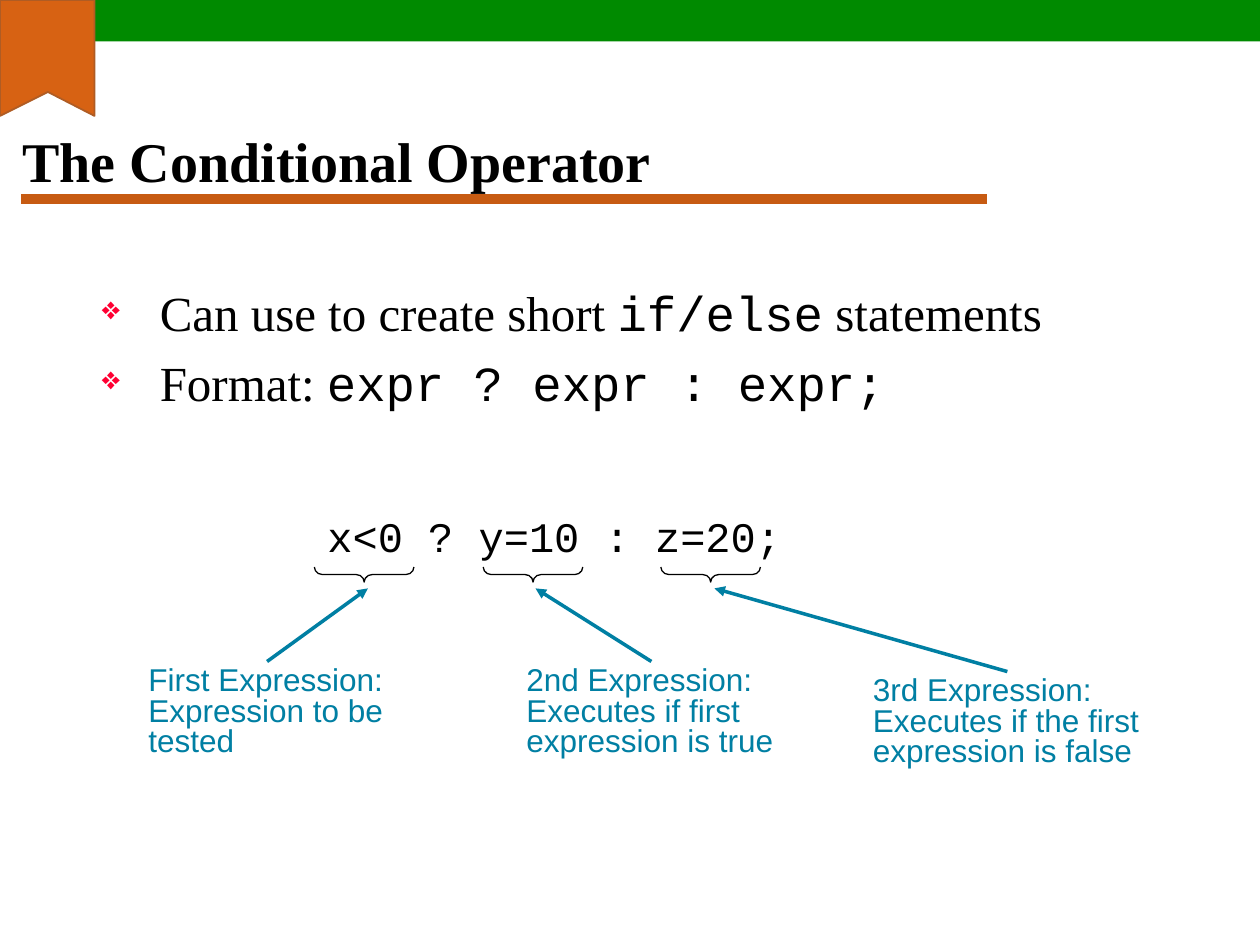
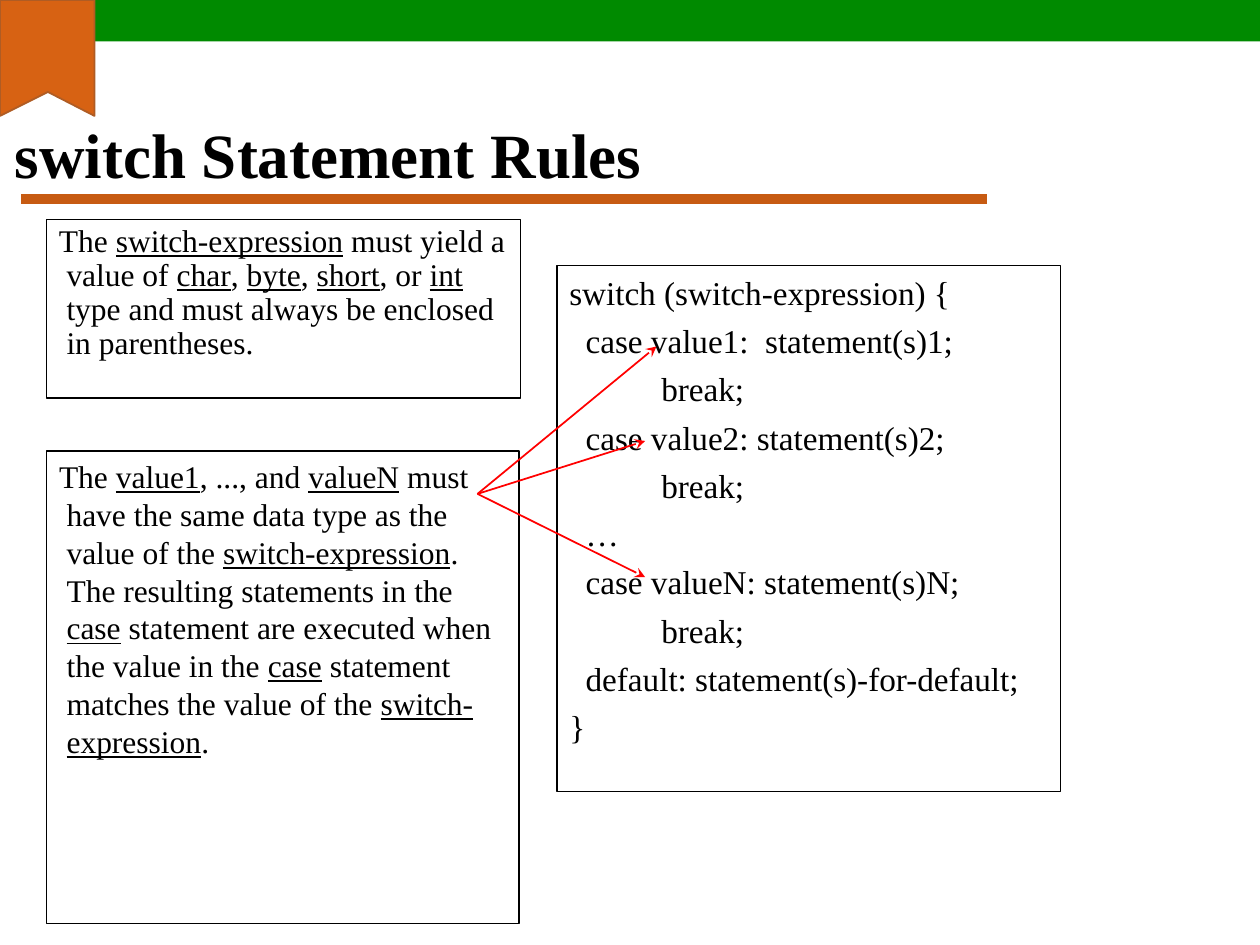
from lxml import etree
from pptx import Presentation
from pptx.dml.color import RGBColor
from pptx.enum import shapes, text
from pptx.oxml import ns
from pptx.util import Inches, Pt

GREEN = RGBColor(0x00, 0x8A, 0x00)
ORANGE = RGBColor(0xD7, 0x62, 0x13)
RIBBON_EDGE = RGBColor(0xAF, 0x5C, 0x24)
RULE = RGBColor(0xC7, 0x5B, 0x12)
TEAL = RGBColor(0x00, 0x7F, 0xA3)
RED = RGBColor(0xFF, 0x00, 0x00)
BULLET = RGBColor(0xFF, 0x00, 0x33)
BLACK = RGBColor(0x00, 0x00, 0x00)
SERIF, SANS, MONO = "Times New Roman", "Arial", "Courier New"


def add_xml(parent, tag, **attrs):
    return etree.SubElement(parent, ns.qn(tag), attrs)


def style(sp, fill=None, line=None, width=0.75):
    sp.shadow.inherit = False
    if fill is None:
        sp.fill.background()
    else:
        sp.fill.solid()
        sp.fill.fore_color.rgb = fill
    if line is None:
        sp.line.fill.background()
    else:
        sp.line.color.rgb = line
        sp.line.width = Pt(width)
    return sp


def add_line(s, start, end, color, width, head=None):
    ln = s.shapes.add_connector(shapes.MSO_CONNECTOR.STRAIGHT, *map(Inches, start + end))
    ln.line.color.rgb = color
    ln.line.width = Pt(width)
    if head:
        add_xml(ln.line._get_or_add_ln(), "a:tailEnd", type=head)
    add_xml(ln._element.spPr, "a:effectLst")
    return ln


def add_text(s, box, content, size, font=SERIF, color=BLACK, bold=None, border=None,
             anchor=text.MSO_ANCHOR.TOP, wrap=True, spacing=None, before=0,
             margins=(), hanging=0, bullet=None, alt_font=None, alt_underline=None):
    """Text between asterisks takes the alternative font and underline."""
    box = [Inches(v) for v in box]
    if border is None:
        sp = s.shapes.add_textbox(*box)
    else:
        sp = style(s.shapes.add_shape(shapes.MSO_SHAPE.RECTANGLE, *box), line=border)
    tf = sp.text_frame
    tf.word_wrap = wrap
    tf.vertical_anchor = anchor
    if not wrap:
        tf.auto_size = text.MSO_AUTO_SIZE.SHAPE_TO_FIT_TEXT
    for i, line in enumerate(content.split("\n")):
        p = tf.add_paragraph() if i else tf.paragraphs[0]
        p.alignment = text.PP_ALIGN.LEFT
        p.space_before = Pt(before)
        p.line_spacing = spacing
        pPr = p._p.get_or_add_pPr()
        pPr.set("marL", str(Inches(margins[i] if margins else hanging)))
        pPr.set("indent", str(Inches(-hanging)))
        if bullet:
            add_xml(add_xml(pPr, "a:buClr"), "a:srgbClr", val=str(BULLET))
            add_xml(pPr, "a:buSzPct", val="65000")
            add_xml(pPr, "a:buChar", char=bullet)
        for j, piece in enumerate(line.split("*")):
            if not piece:
                continue
            r = p.add_run()
            r.text = piece
            r.font.name = alt_font if j % 2 and alt_font else font
            r.font.size = Pt(size)
            r.font.color.rgb = color
            r.font.bold = bold
            if j % 2:
                r.font.underline = alt_underline
    return sp


def add_frame(prs, title, box, size):
    s = prs.slides.add_slide(prs.slide_layouts[6])
    add_line(s, (0.17, 1.58), (7.83, 1.58), RULE, 6)
    band = s.shapes.add_shape(shapes.MSO_SHAPE.RECTANGLE,
                              *map(Inches, (0.75, 0, 9.25, 0.33)))
    style(band, fill=GREEN)
    outline = [(0, 0), (0.75, 0), (0.75, 0.92), (0.38, 0.73), (0, 0.92)]
    points = [(Inches(x), Inches(y)) for x, y in outline]
    ribbon = s.shapes.build_freeform(*points[0])
    ribbon.add_line_segments(points[1:], close=True)
    style(ribbon.convert_to_shape(), ORANGE, RIBBON_EDGE, 1)
    add_text(s, box, title, size, bold=True, anchor=text.MSO_ANCHOR.MIDDLE)
    return s


def add_brace(s, center, y, span=0.79, depth=0.12):
    box = (center - depth / 2, y - span / 2, depth, span)
    sp = style(s.shapes.add_shape(shapes.MSO_SHAPE.RIGHT_BRACE, *map(Inches, box)), line=BLACK)
    sp.rotation = 90
    sp.adjustments[0] = 0.53
    sp.adjustments[1] = 0.5


def add_callout(s, box, content, brace_x, tip_x):
    add_brace(s, brace_x, 4.56)
    label = add_text(s, box, content, 18, SANS, TEAL, wrap=False, spacing=0.8)
    x, y, width, _ = box
    arrow = add_line(s, (x + width / 2, y), (tip_x, 4.67), TEAL, 2, "triangle")
    arrow.begin_connect(label, 0)


def conditional_slide(prs):
    s = add_frame(prs, "The Conditional Operator", (0.08, 0.67, 9, 1.2), 32)
    add_text(s, (0.6, 2.19, 9, 4.95),
             "Can use to create short *if/else* statements\nFormat: *expr ? expr : expr;*",
             28, before=6.4, margins=(0.57, 0.57), hanging=0.46, bullet="❖", alt_font=MONO)
    add_text(s, (2.5, 4, 3.8, 0.5), "x<0 ? y=10 : z=20;", 24, MONO, wrap=False)
    callouts = [
        ((1.08, 5.25, 2.08, 0.83), "First Expression:\nExpression to be\ntested", 2.89, 2.92),
        ((4.08, 5.25, 2.18, 0.83), "2nd Expression:\nExecutes if first\nexpression is true", 4.23, 4.25),
        ((6.83, 5.33, 2.33, 0.83), "3rd Expression:\nExecutes if the first\nexpression is false", 5.64, 5.67),
    ]
    for callout in callouts:
        add_callout(s, *callout)


def add_code(s, box):
    case, body = 0.13, 0.73
    lines = [
        (0, "switch (switch-expression) {"),
        (case, "case value1:  statement(s)1;"),
        (body, "break;"),
        (case, "case value2: statement(s)2;"),
        (body, "break;"),
        (case, "…"),
        (case, "case valueN: statement(s)N;"),
        (body, "break;"),
        (case, "default: statement(s)-for-default;"),
        (0, "}"),
    ]
    margins, code = zip(*lines)
    add_text(s, box, "\n".join(code), 19, border=BLACK, before=4.8, margins=margins)


def add_rule(s, box, content, spacing=None):
    add_text(s, box, content, 18, border=BLACK, spacing=spacing, hanging=0.06,
             alt_underline=True)


def switch_slide(prs):
    s = add_frame(prs, "switch Statement Rules", (0.02, 0.59, 8.4, 1.25), 36)
    add_code(s, (4.42, 2.11, 4, 4.17))
    add_rule(s, (0.37, 1.74, 3.76, 1.42),
             "The *switch-expression* must yield a value of *char*, *byte*, *short*, or *int* "
             "type and must always be enclosed in parentheses.", 0.9)
    add_rule(s, (0.37, 3.58, 3.75, 3.75),
             "The *value1*, ..., and *valueN* must have the same data type as the value of the "
             "*switch-expression*. The resulting statements in the *case* statement are executed "
             "when the value in the *case* statement matches the value of the *switch-expression*.")
    for case_value in ((5.21, 2.75), (5.12, 3.5), (5.12, 4.58)):
        add_line(s, (3.79, 3.92), case_value, RED, 1, "stealth")


def main():
    prs = Presentation()
    prs.slide_width, prs.slide_height = Inches(10), Inches(7.5)
    conditional_slide(prs)
    switch_slide(prs)
    prs.save("out.pptx")


if __name__ == "__main__":
    main()
